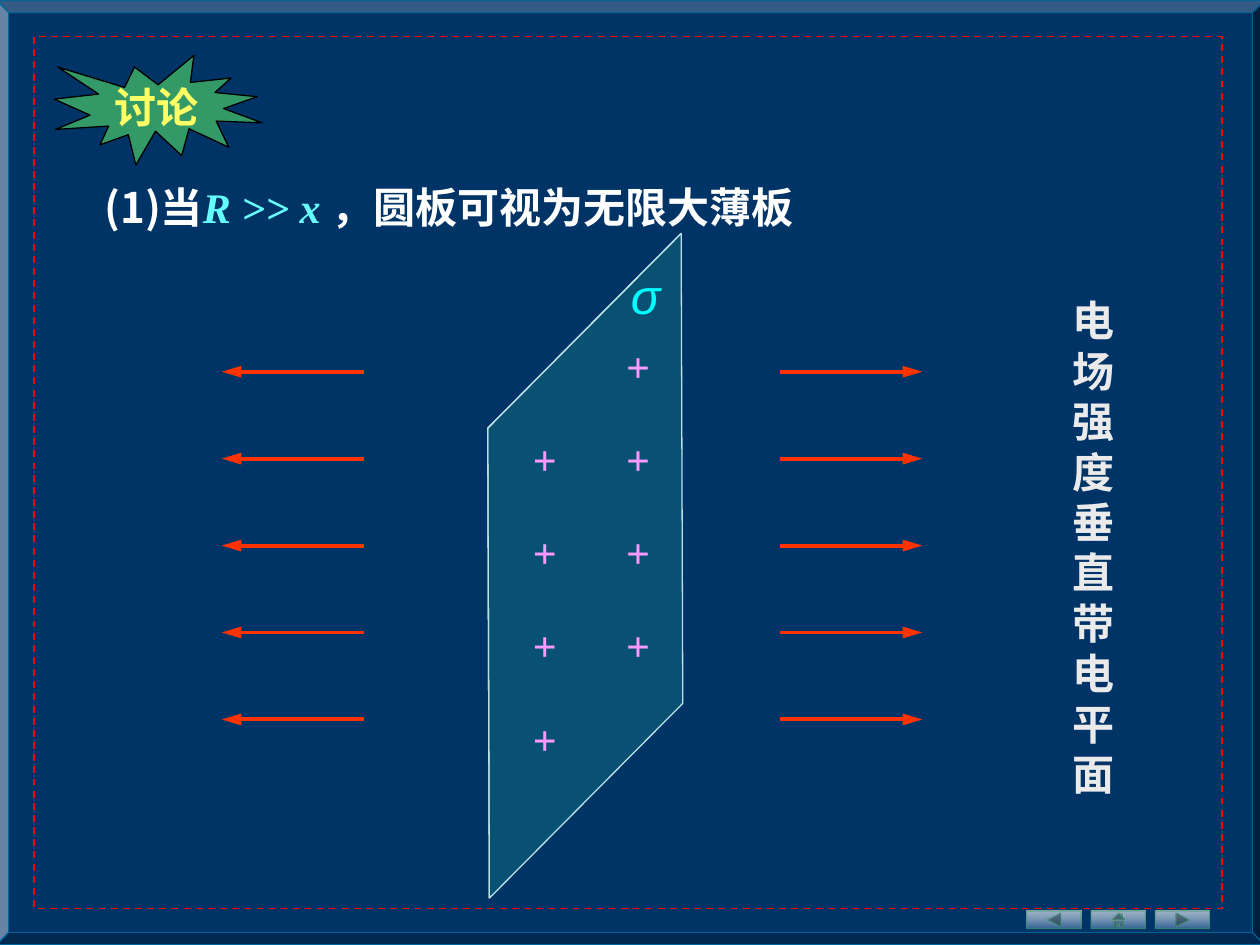
import pptx
import pptx.dml.color
import pptx.enum.dml
import pptx.enum.shapes
import pptx.enum.text
import pptx.oxml
import pptx.oxml.ns
import pptx.util
from pptx.util import Inches

RGB = pptx.dml.color.RGBColor
NAVY = RGB(0x00, 0x33, 0x66)
STEEL = RGB(0x00, 0x66, 0x99)
BLUE = RGB(0x33, 0x66, 0x99)
GREEN = RGB(0x33, 0x99, 0x66)
JADE = RGB(0x00, 0xCC, 0x99)
PALE = RGB(0xBB, 0xE0, 0xE3)
RED = RGB(0xFF, 0x00, 0x00)
FLAME = RGB(0xFF, 0x33, 0x00)
PINK = RGB(0xFF, 0x99, 0xFF)
CYAN = RGB(0x00, 0xFF, 0xFF)
AQUA = RGB(0x66, 0xFF, 0xFF)
YELLOW = RGB(0xFF, 0xFF, 0x66)
SILVER = RGB(0xEA, 0xEA, 0xEA)
WHITE = RGB(0xFF, 0xFF, 0xFF)
BLACK = RGB(0, 0, 0)

SANS, SERIF, ARIAL = "Noto Sans CJK SC", "Times New Roman", "Arial"
KIND = pptx.enum.shapes.MSO_SHAPE
ALIGN = pptx.enum.text.PP_ALIGN
ANCHOR = pptx.enum.text.MSO_ANCHOR
FIT = pptx.enum.text.MSO_AUTO_SIZE


def apply(target, values):
    for name, value in values.items():
        setattr(target, name, value)


def add_node(parent, tag, **values):
    node = pptx.oxml.parse_xml(f"<{tag} {pptx.oxml.ns.nsdecls('a')}/>")
    for name, value in values.items():
        node.set(name, value)
    parent.append(node)


def set_alpha(part, *shares):
    """Give each colour in the part its opacity in percent."""
    for node, share in zip(part.iter(pptx.oxml.ns.qn("a:srgbClr")), shares):
        add_node(node, "a:alpha", val=str(share * 1000))


def add_run(para, text, color, name, size=24, **style):
    run = para.add_run()
    run.text = text
    apply(run.font, dict(name=name, size=pptx.util.Pt(size), **style))
    run.font.color.rgb = color
    add_node(run.font._element, "a:ea", typeface=SANS)


def add_text(slide, box, runs, wrap=True, **frame):
    """Place one paragraph of runs, each a tuple of text, colour and style."""
    text = slide.shapes.add_textbox(*map(Inches, box)).text_frame
    apply(text, dict(word_wrap=wrap, auto_size=FIT.SHAPE_TO_FIT_TEXT, **frame))
    para = text.paragraphs[0]
    for words, color, style in runs:
        add_run(para, words, color, **style)
    return para


def add_shape(slide, kind, box, fill, line, width=0.75):
    shape = slide.shapes.add_shape(kind, *map(Inches, box))
    shape.shadow.inherit = False
    if fill is None:
        shape.fill.background()
    else:
        shape.fill.solid()
        shape.fill.fore_color.rgb = fill
    shape.line.color.rgb = line
    shape.line.width = pptx.util.Pt(width)
    return shape


def add_frame(slide, left, top, width, height):
    bevel = add_shape(slide, KIND.BEVEL, (left, top, width, height), NAVY, STEEL)
    bevel.adjustments[0] = 0.013
    border = add_shape(slide, KIND.RECTANGLE,
                       (left + 0.3, top + 0.29, width - 0.64, height - 0.58),
                       None, RED, 1)
    border.line.dash_style = pptx.enum.dml.MSO_LINE.DASH


def add_buttons(slide, left, top):
    kinds = (KIND.ACTION_BUTTON_BACK_OR_PREVIOUS, KIND.ACTION_BUTTON_HOME,
             KIND.ACTION_BUTTON_FORWARD_OR_NEXT)
    for index, kind in enumerate(kinds):
        box = (left + 0.51 * index, top, 0.43, 0.14)
        button = add_shape(slide, kind, box, None, GREEN, 0)
        button.fill.gradient()
        button.fill.gradient_angle = 270
        for stop, color in zip(button.fill.gradient_stops, (WHITE, BLUE)):
            stop.color.rgb = color
        set_alpha(button._element.spPr, 62, 89, 52)


def add_title(slide, box):
    sans = dict(name=SANS, bold=True)
    runs = (("(1)当", WHITE, sans),
            ("R >> x ", AQUA, dict(name=SERIF, bold=True, italic=True)),
            ("，圆板可视为无限大薄板", WHITE, sans))
    para = add_text(slide, box, runs, margin_top=Inches(0.1))
    para.line_spacing = pptx.util.Pt(28.8)


def add_plate(slide, left, top):
    """Draw the charged plate, with its charges in two staggered columns."""
    plate = add_shape(slide, KIND.CUBE, (left - 1.86, top + 1.86, 5.27, 1.54),
                      JADE, PALE)
    plate.adjustments[0] = 1
    plate.rotation = 89.8
    plate._element.spPr.xfrm.set("flipH", "1")
    set_alpha(plate._element.spPr, 19)
    step = 0.74
    plus = [("+", PINK, dict(name=SERIF, bold=True))]
    for col in range(2):
        for row in range(4):
            box = (left + 0.26 + step * col,
                   top + 0.79 + step * (row + 1 - col), 0.39, 0.5)
            add_text(slide, box, plus, wrap=False)
    add_text(slide, (left + 1.04, top + 0.2, 0.54, 0.57),
             [("σ", CYAN, dict(name=ARIAL, size=28, italic=True))])


def add_field(slide, left, top, end):
    """Group five level arrows with the arrowhead at the given line end."""
    group = slide.shapes.add_group_shape()
    for row in range(5):
        y = Inches(top + 0.69 * row)
        arrow = group.shapes.add_connector(
            pptx.enum.shapes.MSO_CONNECTOR.STRAIGHT,
            Inches(left), y, Inches(left + 1.13), y)
        arrow.line.color.rgb = FLAME
        arrow.line.width = pptx.util.Pt(2.25)
        props = arrow._element.spPr
        add_node(props.find(pptx.oxml.ns.qn("a:ln")), end,
                 type="triangle", w="med", len="lg")
        add_node(props, "a:effectLst")


def add_note(slide, box):
    para = add_text(slide, box,
                    [("电场强度垂直带电平面", SILVER, dict(name=SANS, bold=True))],
                    margin_top=Inches(0.1))
    para.line_spacing = pptx.util.Pt(28.8)


def add_badge(slide, box):
    badge = add_shape(slide, KIND.EXPLOSION1, box, GREEN, BLACK)
    apply(badge.text_frame, dict(word_wrap=False, vertical_anchor=ANCHOR.MIDDLE))
    para = badge.text_frame.paragraphs[0]
    para.alignment = ALIGN.CENTER
    add_run(para, "讨论", YELLOW, SERIF, bold=True)


def main():
    deck = pptx.Presentation()
    apply(deck, dict(slide_width=Inches(10), slide_height=Inches(7.5)))
    slide = deck.slides.add_slide(deck.slide_layouts[6])
    slide.background.fill.solid()
    slide.background.fill.fore_color.rgb = NAVY
    add_frame(slide, -0.03, 0, 10.07, 7.5)
    add_buttons(slide, 8.15, 7.23)
    add_title(slide, (0.73, 1.34, 6.71, 0.5))
    add_plate(slide, 3.87, 1.86)
    add_field(slide, 6.19, 2.95, "a:tailEnd")
    add_field(slide, 1.76, 2.95, "a:headEnd")
    add_note(slide, (8.41, 2.24, 0.49, 4.1))
    add_badge(slide, (0.43, 0.44, 1.65, 0.87))
    deck.save("out.pptx")


if __name__ == "__main__":
    main()
